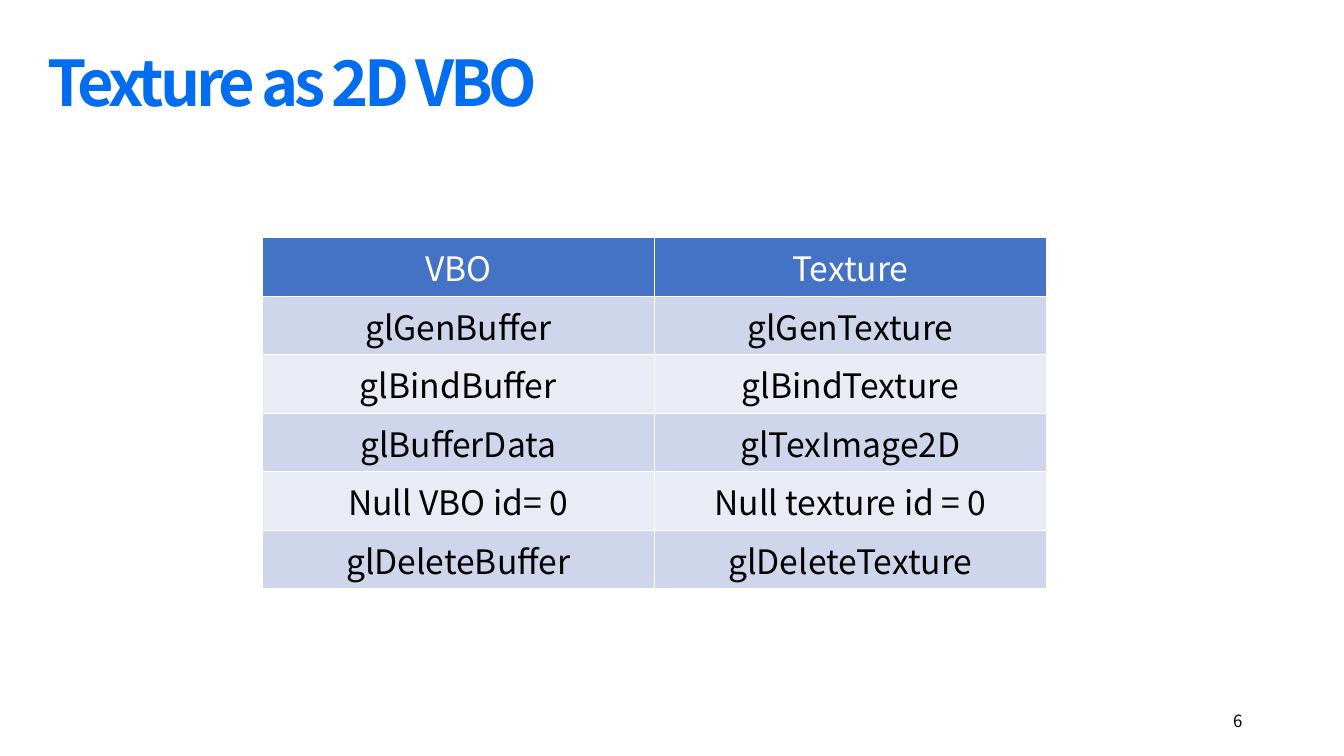
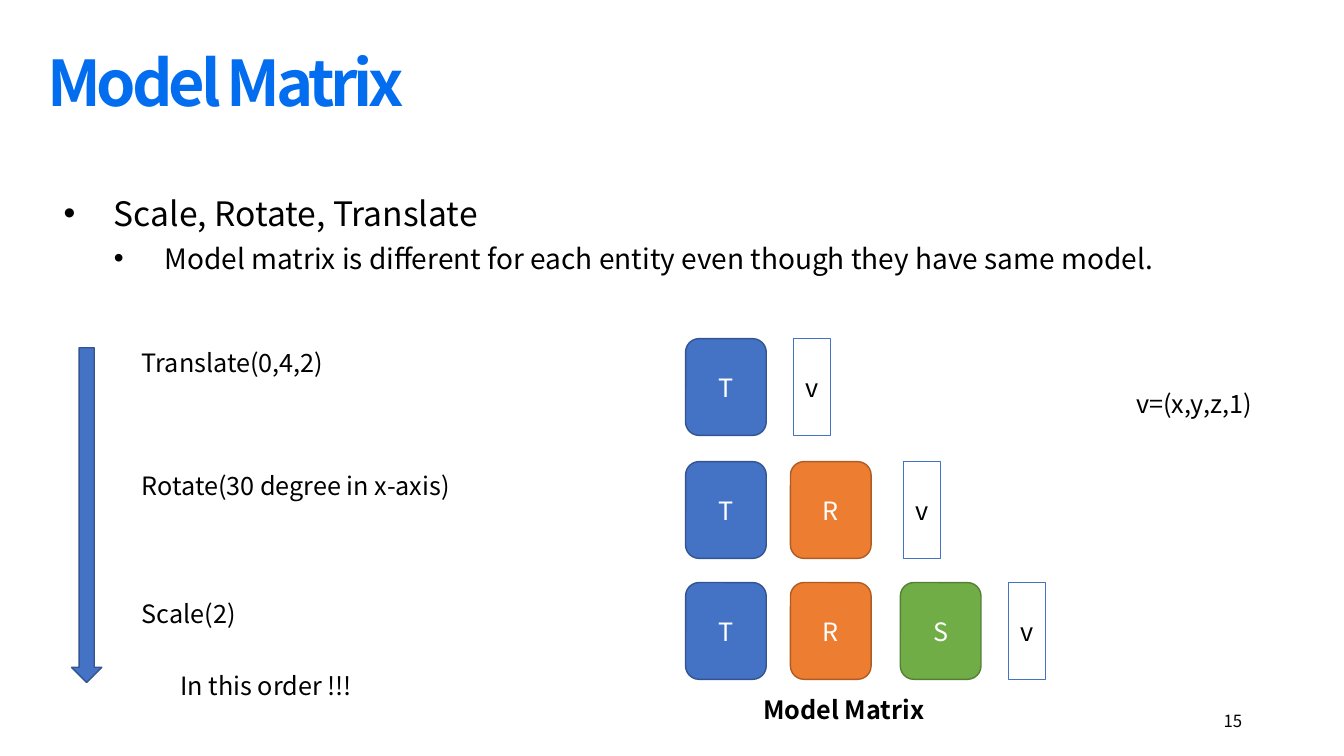
from lxml import etree
from pptx import Presentation
from pptx.dml.color import RGBColor
from pptx.enum import shapes, text
from pptx.oxml.ns import qn
from pptx.util import Inches, Pt

FONT = "Noto Sans CJK KR"
BLACK = RGBColor(0, 0, 0)
WHITE = RGBColor(255, 255, 255)
TITLE = RGBColor(0x02, 0x6D, 0xEE)
BLUE = RGBColor(0x44, 0x72, 0xC4)
NAVY = RGBColor(0x32, 0x54, 0x91)
ORANGE = RGBColor(0xED, 0x7D, 0x31)
RUST = RGBColor(0xAF, 0x5C, 0x24)
GREEN = RGBColor(0x70, 0xAD, 0x47)
MOSS = RGBColor(0x53, 0x80, 0x35)
BANDS = [RGBColor(0xE9, 0xEB, 0xF5), RGBColor(0xCF, 0xD5, 0xEA)]

CALLS = [
    ("VBO", "Texture"),
    ("glGenBuffer", "glGenTexture"),
    ("glBindBuffer", "glBindTexture"),
    ("glBufferData", "glTexImage2D"),
    ("Null VBO id= 0", "Null texture id = 0"),
    ("glDeleteBuffer", "glDeleteTexture"),
]
POINTS = [
    ("Scale, Rotate, Translate", 24),
    ("Model matrix is different for each entity even though they have "
     "same model.", 20),
]
NOTES = [
    ("Translate(0,4,2)", 1.31, 3.45, 3.67),
    ("Rotate(30 degree in x-axis)", 1.31, 4.67, 3.67),
    ("Scale(2)", 1.31, 5.94, 3.67),
    ("v=(x,y,z,1)", 11.17, 3.85, 2.01),
    ("In this order !!!", 1.69, 6.65, 2.49),
]
STEPS = [("T", BLUE, NAVY), ("R", ORANGE, RUST), ("S", GREEN, MOSS)]
COLS = [6.8, 7.84, 8.93, 9.97]
ROWS = [3.36, 4.58, 5.78]


def place(item, left, top, width, height):
    item.left, item.top = Inches(left), Inches(top)
    item.width, item.height = Inches(width), Inches(height)


def style(para, size, color=BLACK, bold=False, align=text.PP_ALIGN.LEFT):
    font = para.font
    font.name, font.size, font.bold = FONT, Pt(size), bold
    font.color.rgb = color
    para.alignment = align


def add_page(deck, layout, title, number):
    """Add a slide with the shared title style and page number."""
    page = deck.slides.add_slide(deck.slide_layouts[layout])
    head = page.shapes.title
    place(head, 0.37, 0.47, 12.8, 0.86)
    frame = head.text_frame
    frame.text = title
    frame.vertical_anchor = text.MSO_ANCHOR.TOP
    frame.auto_size = text.MSO_AUTO_SIZE.NONE
    para = frame.paragraphs[0]
    style(para, 45, TITLE, True)
    para.line_spacing = 0.9
    para.runs[0].font._element.set("spc", "-300")

    foot = page.shapes.add_textbox(
        Inches(9.42), Inches(6.95), Inches(3), Inches(0.4)).text_frame
    foot.word_wrap = True
    foot.vertical_anchor = text.MSO_ANCHOR.MIDDLE
    foot.text = str(number)
    style(foot.paragraphs[0], 12, align=text.PP_ALIGN.RIGHT)
    return page


def add_grid(page, rows):
    grid = page.shapes.add_table(
        len(rows), len(rows[0]), Inches(2.6), Inches(2.36),
        Inches(7.78), Inches(0.58 * len(rows))).table
    for r, row in enumerate(rows):
        for c, word in enumerate(row):
            cell = grid.cell(r, c)
            cell.text = word
            cell.fill.solid()
            cell.fill.fore_color.rgb = BANDS[r % 2] if r else BLUE
            style(cell.text_frame.paragraphs[0], 24,
                  BLACK if r else WHITE, align=text.PP_ALIGN.CENTER)


def add_list(page, points):
    """Fill the body with bullets, each one level below the last."""
    body = page.placeholders[1]
    place(body, 0.53, 1.76, 11.28, 1.21)
    frame = body.text_frame
    frame.auto_size = text.MSO_AUTO_SIZE.NONE
    frame.text = "\n".join(words for words, _ in points)
    for level, (para, (_, size)) in enumerate(zip(frame.paragraphs, points)):
        style(para, size)
        para.level = level
        para.line_spacing = 1.25
        para.space_before = Pt(0)
        props = para._p.get_or_add_pPr()
        props.set("marL", str(Inches(0.5 * (level + 1))))
        props.set("indent", str(Inches(-0.5)))
        etree.SubElement(props, qn("a:buChar")).set("char", "•")


def add_note(page, words, left, top, width, bold=False):
    frame = page.shapes.add_textbox(
        Inches(left), Inches(top), Inches(width), Inches(0.4)).text_frame
    frame.word_wrap = True
    frame.margin_top = 0
    frame.text = words
    style(frame.paragraphs[0], 18, bold=bold)


def add_block(page, kind, box, fill, line, words="", color=WHITE):
    block = page.shapes.add_shape(kind, *map(Inches, box))
    block.shadow.inherit = False
    block.fill.solid()
    block.fill.fore_color.rgb = fill
    block.line.color.rgb = line
    block.line.width = Pt(1)
    if words:
        frame = block.text_frame
        frame.text = words
        frame.vertical_anchor = text.MSO_ANCHOR.MIDDLE
        style(frame.paragraphs[0], 18, color, align=text.PP_ALIGN.CENTER)


def add_chain(page):
    """Draw each product: one more matrix per row, then the vector."""
    kinds = shapes.MSO_SHAPE
    for count, top in enumerate(ROWS, 1):
        for left, (name, fill, line) in zip(COLS, STEPS[:count]):
            add_block(page, kinds.ROUNDED_RECTANGLE,
                      (left, top, 0.8, 0.96), fill, line, name)
        add_block(page, kinds.RECTANGLE,
                  (COLS[count] + 0.03, top, 0.37, 0.96),
                  WHITE, BLUE, "v", BLACK)


def main():
    deck = Presentation()
    deck.slide_width, deck.slide_height = Inches(13.33), Inches(7.5)

    page = add_page(deck, 5, "Texture as 2D VBO", 6)
    add_grid(page, CALLS)

    page = add_page(deck, 1, "Model Matrix", 15)
    add_list(page, POINTS)
    add_chain(page)
    add_block(page, shapes.MSO_SHAPE.DOWN_ARROW,
              (0.71, 3.45, 0.3, 3.32), BLUE, NAVY)
    for note in NOTES:
        add_note(page, *note)
    add_note(page, "Model Matrix", 7.47, 6.89, 1.86, bold=True)

    deck.save("out.pptx")


if __name__ == "__main__":
    main()
